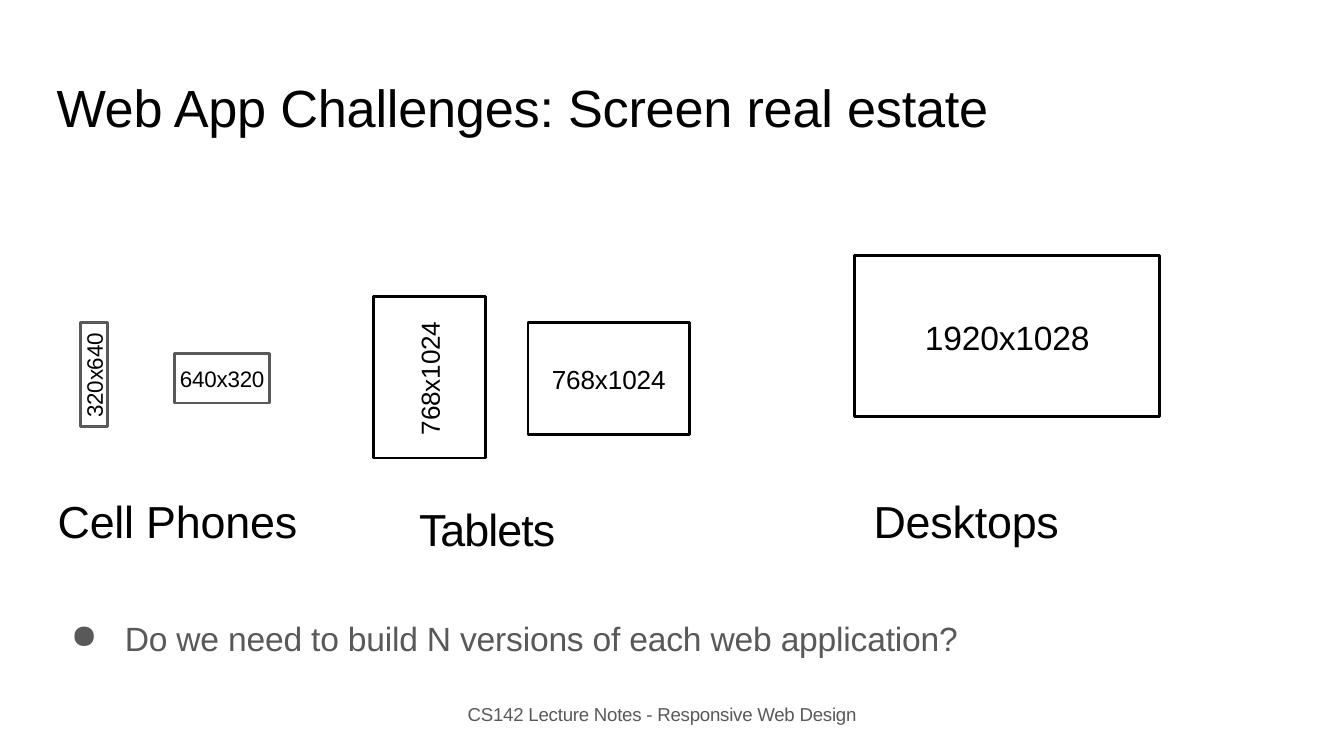
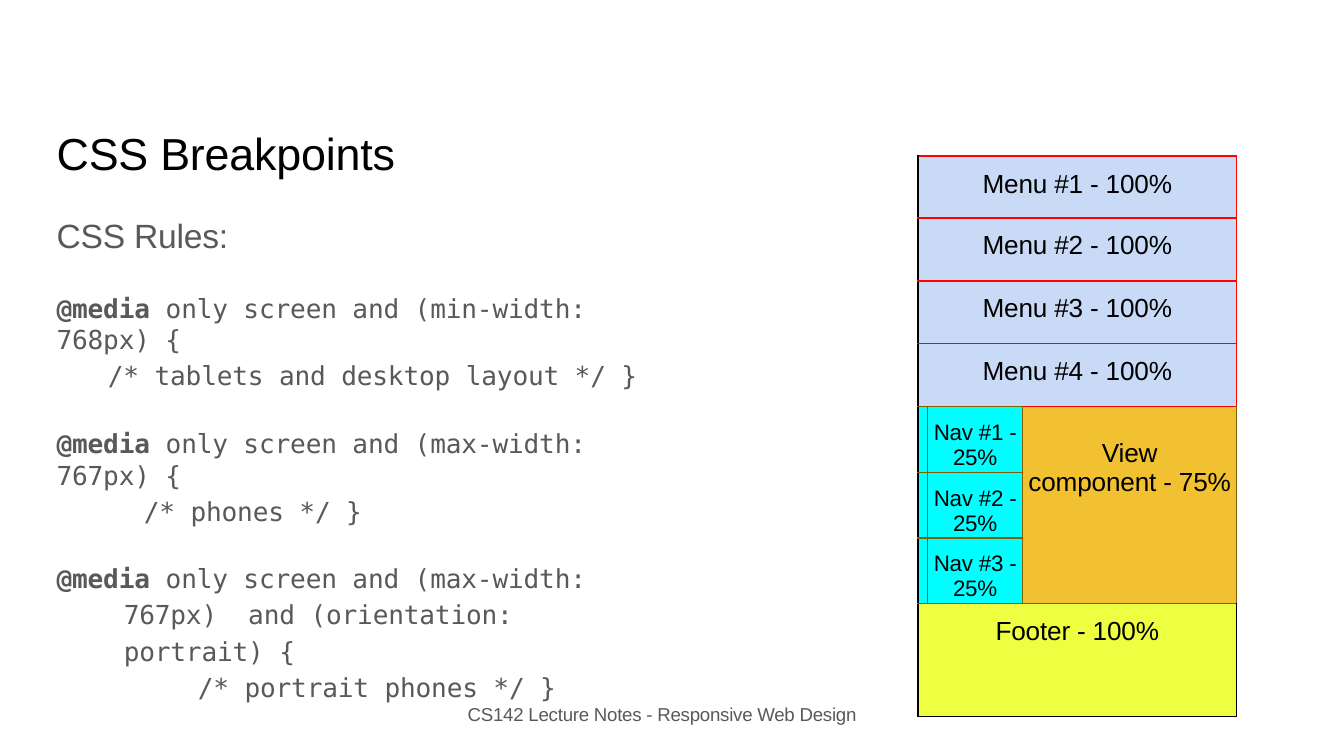
from lxml import etree
from pptx import Presentation
from pptx import util as u
from pptx.dml.color import RGBColor
from pptx.enum import shapes, text
from pptx.oxml import ns

COLORS = {
    "black": "000000", "grey": "595959", "white": "FFFFFF", "red": "FF0000",
    "brown": "7F6000", "menu": "C9DAF7", "nav": "00FFFF", "view": "F1C131",
    "footer": "EEFF41",
}
SANS, MONO = "Arial", "DejaVu Sans Mono"
LEFT, CENTER = text.PP_ALIGN.LEFT, text.PP_ALIGN.CENTER
NO_STYLE = "{2D5ABB26-0587-4C30-8999-92F81FD0307C}"

# Content; boxes are (left, top, width, height) in centimetres
FOOTER = ("CS142 Lecture Notes - Responsive Web Design", (8.84, 13.28, 7.62, 0.46))

SCREENS_TITLE = ("Web App Challenges: Screen real estate", 28, (1.07, 1.4, 17.81, 1.24))
SCREENS = [  # label, size, outline, upright, box
    ("320x640", 12, "grey", True, (1.52, 6.1, 0.51, 1.96)),
    ("640x320", 12, "grey", False, (3.3, 6.68, 1.8, 0.94)),
    ("768x1024", 14, "black", True, (7.06, 5.61, 2.11, 3.05)),
    ("768x1024", 14, "black", False, (9.98, 6.1, 3.05, 2.11)),
    ("1920x1028", 18, "black", False, (16.15, 4.83, 5.77, 3.05)),
]
DEVICES = [  # name, letter spacing, box
    ("Cell Phones", -0.1, (1.09, 9.3, 5, 1.09)),
    ("Tablets", -0.5, (7.92, 9.45, 2.74, 1.09)),
    ("Desktops", -0.1, (16.51, 9.3, 4, 1.09)),
]
QUESTION = ("Do we need to build N versions of each web application?",
            (1.32, 11.66, 17.04, 0.84))

BREAKPOINTS_TITLE = ("CSS Breakpoints", 24, (1.07, 2.34, 6.5, 1.09))
RULES_BOX = (1.07, 4.04, 11.43, 9.3)
RULES_HEADING = "CSS Rules:"
RULES = [  # keyword, rest, left margin, first-line indent, space before, line spacing
    ("@media ", "only screen and (min-width: 768px) {", 0, 0, 19.5, 1),
    ("", "/* tablets and desktop layout */ }", 0.97, 0, 2.7, 1),
    ("@media ", "only screen and (max-width: 767px) {", 0, 0, 19.5, 1),
    ("", "/* phones */ }", 1.65, 0, 2.7, 1),
    ("@media ", "only screen and (max-width: 767px)  and (orientation: portrait) {",
     1.27, -1.27, 16.5, 1.16),
    ("", "/* portrait phones */ }", 2.67, 0, 2.7, 1),
]

LAYOUT_ORIGIN = (17.35, 2.95)
COLUMNS = [0.18, 1.8, 4.04]
ROWS = [1.17] + [1.19] * 3 + [1.24] * 3 + [2.13]
EDGES = {  # border colours: left, right, top, bottom
    "menu": ("black", "red", "red", "red"),
    "last menu": ("black", "red", "red", "brown"),
    "strip": ("black", "brown", "brown", "brown"),
    "nav": ("brown",) * 4,
    "view": ("brown", "brown", "red", "black"),
    "footer": ("black", "black", "brown", "black"),
}
# row, column, last row, last column, words, size, fill, edges, top margin
CELLS = [
    (row, 0, row, 2, f"Menu #{row + 1} - 100%", 14, "menu",
     "last menu" if row == 3 else "menu", 0.25) for row in range(4)
] + [
    (row, 0, row, 0, "", 12, "nav", "strip", 0) for row in range(4, 7)
] + [
    (row, 1, row, 1, f"Nav #{row - 3} - 25%", 12, "nav", "nav", 0.25) for row in range(4, 7)
] + [
    (4, 2, 6, 2, "View\vcomponent - 75%", 14, "view", "view", 0.6),
    (7, 0, 7, 2, "Footer - 100%", 14, "footer", "footer", 0.25),
]


def set_all(target, **values):
    for name, value in values.items():
        setattr(target, name, value)


def rgb(name):
    return RGBColor.from_string(COLORS[name])


def lengths(values):
    return [u.Cm(value) for value in values]


def style(font, size, color, name=SANS, bold=False, spacing=-0.1):
    set_all(font, size=u.Pt(size), name=name, bold=bold)
    font.color.rgb = rgb(color)
    # python-pptx has no setting for letter spacing
    font._element.set("spc", str(round(spacing * 100)))


def write(paragraph, words, size, color, align=LEFT, **format_values):
    paragraph.text = words
    paragraph.alignment = align
    for run in paragraph.runs:
        style(run.font, size, color, **format_values)


def prepare(frame, anchor=text.MSO_ANCHOR.TOP, top=0.03):
    set_all(frame, word_wrap=True, auto_size=text.MSO_AUTO_SIZE.NONE,
            vertical_anchor=anchor, margin_left=0, margin_right=0,
            margin_bottom=0, margin_top=u.Cm(top))
    return frame


def add_text(slide, words, box, size, color, **format_values):
    frame = prepare(slide.shapes.add_textbox(*lengths(box)).text_frame)
    write(frame.paragraphs[0], words, size, color, **format_values)
    return frame


def add_slide(presentation, title, size, box):
    slide = presentation.slides.add_slide(presentation.slide_layouts[5])
    shape = slide.shapes.title
    set_all(shape, **dict(zip(("left", "top", "width", "height"), lengths(box))))
    write(prepare(shape.text_frame).paragraphs[0], title, size, "black")
    footer, footer_box = FOOTER
    prepare(add_text(slide, footer, footer_box, 10, "grey"), top=0)
    return slide


def indent(paragraph, left, first):
    properties = paragraph._p.get_or_add_pPr()
    properties.set("marL", str(u.Cm(left)))
    properties.set("indent", str(u.Cm(first)))
    return properties


def add_screen(slide, label, size, outline, upright, box):
    shape = slide.shapes.add_shape(shapes.MSO_SHAPE.RECTANGLE, *lengths(box))
    shape.shadow.inherit = False
    shape.fill.background()
    shape.line.color.rgb = rgb(outline)
    shape.line.width = u.Pt(1.5)
    frame = prepare(shape.text_frame, text.MSO_ANCHOR.MIDDLE)
    write(frame.paragraphs[0], label, size, "black", CENTER)
    if upright:
        frame._txBody.bodyPr.set("vert", "vert270")


def border_cell(cell, edges):
    properties = cell._tc.get_or_add_tcPr()
    for index, (side, color) in enumerate(zip("LRTB", EDGES[edges])):
        width = u.Pt(1 if (side, color) == ("L", "black") else 0.75)
        line = etree.Element(ns.qn(f"a:ln{side}"), w=str(width))
        fill = etree.SubElement(line, ns.qn("a:solidFill"))
        etree.SubElement(fill, ns.qn("a:srgbClr"), val=COLORS[color])
        properties.insert(index, line)


def add_page_layout(slide):
    frame = slide.shapes.add_table(len(ROWS), len(COLUMNS), *lengths(
        (*LAYOUT_ORIGIN, sum(COLUMNS), sum(ROWS))))
    table = frame.table
    set_all(table, first_row=False, horz_banding=False)
    table._tbl.tblPr.find(ns.qn("a:tableStyleId")).text = NO_STYLE
    for column, width in zip(table.columns, lengths(COLUMNS)):
        column.width = width
    for row, height in zip(table.rows, lengths(ROWS)):
        row.height = height
    for row, column, last_row, last_column, words, size, fill, edges, top in CELLS:
        cell = table.cell(row, column)
        if (row, column) != (last_row, last_column):
            cell.merge(table.cell(last_row, last_column))
        set_all(cell, margin_left=0, margin_right=0, margin_bottom=0,
                margin_top=u.Cm(top), vertical_anchor=text.MSO_ANCHOR.TOP)
        cell.fill.solid()
        cell.fill.fore_color.rgb = rgb(fill)
        border_cell(cell, edges)
        if words:
            write(cell.text_frame.paragraphs[0], words, size, "black", CENTER)


def build_screens(presentation):
    slide = add_slide(presentation, *SCREENS_TITLE)
    for screen in SCREENS:
        add_screen(slide, *screen)
    for name, spacing, box in DEVICES:
        add_text(slide, name, box, 24, "black", spacing=spacing)
    # Bulleted question
    frame = add_text(slide, *QUESTION, 18, "grey")
    properties = indent(frame.paragraphs[0], 1.04, -1.02)
    etree.SubElement(properties, ns.qn("a:buChar"), char="●")


def build_breakpoints(presentation):
    slide = add_slide(presentation, *BREAKPOINTS_TITLE)
    add_page_layout(slide)
    # Heading and media rules
    frame = add_text(slide, RULES_HEADING, RULES_BOX, 18, "grey")
    for keyword, rest, left, first, before, spacing in RULES:
        paragraph = frame.add_paragraph()
        indent(paragraph, left, first)
        set_all(paragraph, space_before=u.Pt(before), line_spacing=spacing)
        for words, bold in ((keyword, True), (rest, False)):
            if words:
                run = paragraph.add_run()
                run.text = words
                style(run.font, 14, "grey", MONO, bold)


def main():
    presentation = Presentation()
    set_all(presentation, slide_width=u.Cm(25.4), slide_height=u.Cm(14.29))
    build_screens(presentation)
    build_breakpoints(presentation)
    presentation.save("out.pptx")


if __name__ == "__main__":
    main()
